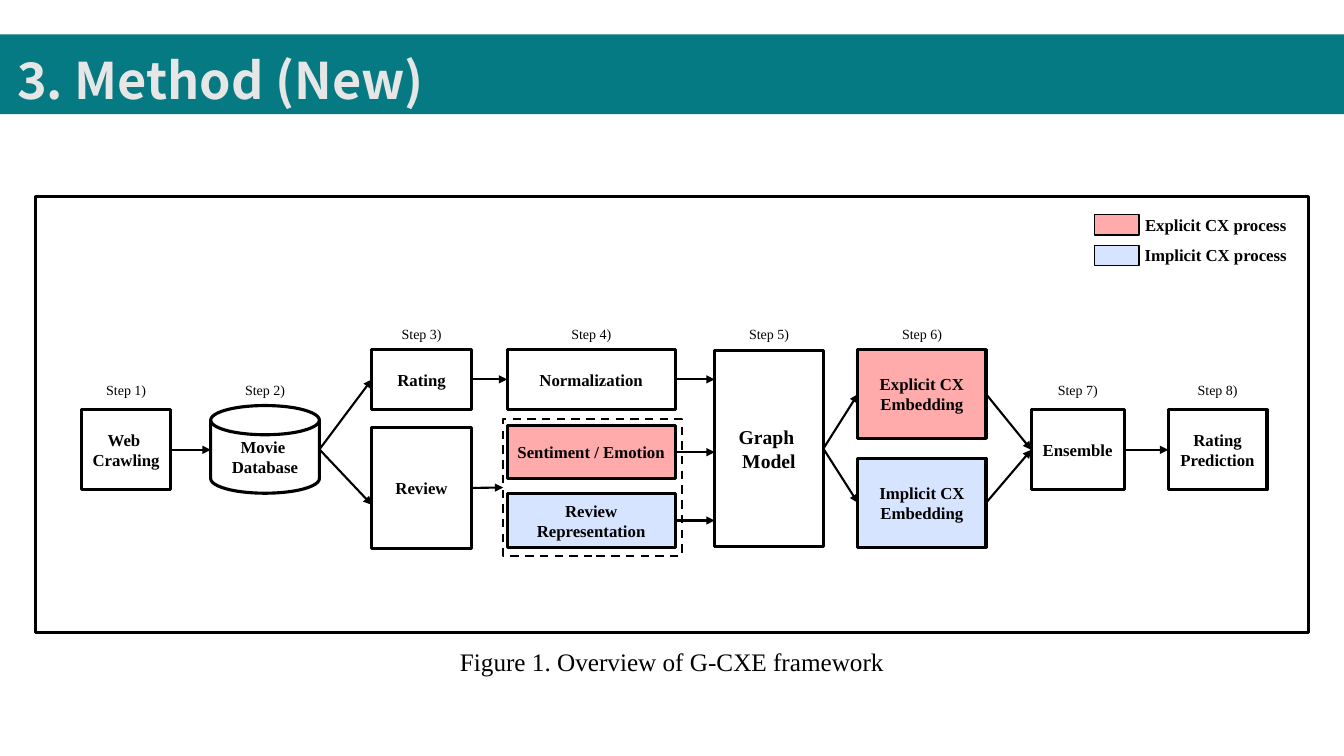
from lxml.etree import SubElement
from pptx import Presentation
from pptx.dml.color import RGBColor
from pptx.enum.dml import MSO_LINE
from pptx.enum.shapes import MSO_CONNECTOR, MSO_SHAPE
from pptx.enum.text import MSO_ANCHOR, MSO_AUTO_SIZE, PP_ALIGN
from pptx.oxml.ns import qn
from pptx.util import Cm, Pt

TEAL = RGBColor(0x06, 0x7A, 0x82)
LIGHT = RGBColor(0xE7, 0xE6, 0xE6)
BLACK = RGBColor(0, 0, 0)
WHITE = RGBColor(0xFF, 0xFF, 0xFF)
PINK = RGBColor(0xFF, 0xAB, 0xAB)
BLUE = RGBColor(0xD7, 0xE4, 0xFF)
TITLE_FONT = "Noto Sans CJK KR"
BODY_FONT = "Times New Roman"
LEFT_SIDE, RIGHT_SIDE = 1, 3


def write(frame, lines, size, bold=False, color=BLACK, font=BODY_FONT, align=PP_ALIGN.CENTER):
    """Fill a text frame with one paragraph per line."""
    frame.word_wrap = True
    for number, line in enumerate(lines):
        para = frame.add_paragraph() if number else frame.paragraphs[0]
        para.alignment = align
        span = para.add_run()
        span.text = line
        span.font.name = font
        span.font.size = Pt(size)
        span.font.bold = bold
        span.font.color.rgb = color


def add_label(page, left, top, width, height, text, size, bold=False):
    """Add a centred text box."""
    label = page.shapes.add_textbox(left, top, width, height)
    write(label.text_frame, [text], size, bold)


def add_part(page, left, top, width, height, lines=(), fill=None, weight=2.25,
             size=12, kind=MSO_SHAPE.RECTANGLE):
    """Add an outlined shape with optional fill and bold text."""
    part = page.shapes.add_shape(kind, left, top, width, height)
    part.shadow.inherit = False
    if fill is None:
        part.fill.background()
    else:
        part.fill.solid()
        part.fill.fore_color.rgb = fill
    part.line.color.rgb = BLACK
    part.line.width = Pt(weight)
    frame = part.text_frame
    frame.margin_left = frame.margin_right = Cm(0.2)
    frame.vertical_anchor = MSO_ANCHOR.MIDDLE
    write(frame, lines, size, bold=True)
    return part


def middle(part):
    """Return the vertical middle of a part."""
    return part.top + part.height // 2


def add_arrow(page, source, target, end_y=None, join_start=True):
    """Point from the right side of one part to the left side of another."""
    finish = middle(target) if end_y is None else end_y
    arrow = page.shapes.add_connector(
        MSO_CONNECTOR.STRAIGHT, source.left + source.width, middle(source), target.left, finish)
    if join_start:
        arrow.begin_connect(source, RIGHT_SIDE)
    if end_y is None:
        arrow.end_connect(target, LEFT_SIDE)
    arrow.line.color.rgb = BLACK
    arrow.line.width = Pt(1.5)
    SubElement(arrow.line._get_or_add_ln(), qn("a:tailEnd"), type="triangle")
    SubElement(arrow._element.spPr, qn("a:effectLst"))


def add_header(page, left, top, width, height):
    """Place the title over a teal band."""
    title = page.shapes.title
    band = page.shapes.add_shape(MSO_SHAPE.RECTANGLE, left, top, width, height)
    band.shadow.inherit = False
    band.fill.solid()
    band.fill.fore_color.rgb = TEAL
    band.line.fill.background()
    title.element.addprevious(band.element)
    title.left, title.top = left + Cm(0.18), top - Cm(0.43)
    title.width, title.height = width - Cm(0.18), Cm(2.34)
    frame = title.text_frame
    frame.auto_size = MSO_AUTO_SIZE.NONE
    frame.vertical_anchor = MSO_ANCHOR.MIDDLE
    write(frame, ["3. Method (New)"], 36, True, LIGHT, TITLE_FONT, PP_ALIGN.LEFT)
    frame.paragraphs[0].line_spacing = 1.5


def add_legend(page, left, top):
    """Add the colour key."""
    for row, (name, color) in enumerate([("Explicit", PINK), ("Implicit", BLUE)]):
        row_top = top + row * Cm(0.77)
        add_part(page, left, row_top, Cm(1.12), Cm(0.51), fill=color, weight=1)
        add_label(page, left + Cm(0.94), row_top - Cm(0.13), Cm(4.22), Cm(0.76),
                  f"{name} CX process", 12, True)


def add_flow(page, left, top):
    """Add the processing steps, their arrows and step labels."""
    def place(x, y, width, height, *lines, **style):
        return add_part(page, left + Cm(x), top + Cm(y), Cm(width), Cm(height), lines, **style)

    crawling = place(1.17, 5.38, 2.24, 2.01, "Web ", "Crawling")
    database = place(4.42, 5.27, 2.74, 2.21, "Movie ", "Database",
                     kind=MSO_SHAPE.FLOWCHART_MAGNETIC_DISK)
    rating = place(8.48, 3.86, 2.51, 1.5, "Rating")
    review = place(8.48, 5.82, 2.51, 3.05, "Review")
    normalization = place(11.89, 3.86, 4.24, 1.5, "Normalization")
    sentiment = place(11.89, 5.77, 4.24, 1.35, "Sentiment / Emotion", fill=PINK)
    representation = place(11.89, 7.49, 4.24, 1.35, "Review Representation", fill=BLUE)
    graph = place(17.12, 3.88, 2.74, 4.95, "Graph ", "Model", fill=WHITE, size=14)
    explicit = place(20.73, 3.86, 3.23, 2.24, "Explicit CX Embedding", fill=PINK)
    implicit = place(20.73, 6.6, 3.23, 2.24, "Implicit CX Embedding", fill=BLUE)
    ensemble = place(25.1, 5.38, 2.34, 2.01, "Ensemble")
    prediction = place(28.55, 5.38, 2.49, 2.01, "Rating", "Prediction")
    group = place(11.79, 5.61, 4.5, 3.45, weight=1.5)
    group.line.dash_style = MSO_LINE.DASH

    for source, target in [(crawling, database), (rating, normalization), (review, group),
                           (graph, explicit), (graph, implicit), (explicit, ensemble),
                           (implicit, ensemble), (ensemble, prediction)]:
        add_arrow(page, source, target, middle(source) if target is database else None)
    add_arrow(page, database, rating, join_start=False)
    add_arrow(page, database, review, top + Cm(7.77), join_start=False)
    for source in (normalization, sentiment, representation):
        add_arrow(page, source, graph, middle(source))

    steps = [crawling, database, rating, normalization, graph, explicit, ensemble, prediction]
    for number, part in enumerate(steps, 1):
        label_top = Cm(3.12) if part.top < top + Cm(5) else Cm(4.55)
        add_label(page, part.left + part.width // 2 - Cm(0.85), top + label_top,
                  Cm(1.7), Cm(0.69), f"Step {number})", 10)


def add_figure(page, left, top, width, height):
    """Add the framed diagram with its caption."""
    add_part(page, left, top, width, height)
    add_legend(page, left + Cm(26.7), top + Cm(0.46))
    add_flow(page, left, top)
    add_label(page, left + width // 2 - Cm(6.56), top + height + Cm(0.2), Cm(13.13), Cm(1.02),
              "Figure 1. Overview of G-CXE framework", 18)


def main():
    """Build and save the deck."""
    deck = Presentation()
    deck.slide_width, deck.slide_height = Cm(33.87), Cm(19.05)
    page = deck.slides.add_slide(deck.slide_layouts[5])
    add_header(page, 0, Cm(0.87), deck.slide_width, Cm(2.01))
    add_figure(page, Cm(0.89), Cm(4.95), Cm(32.08), Cm(11))
    deck.save("out.pptx")


if __name__ == "__main__":
    main()
